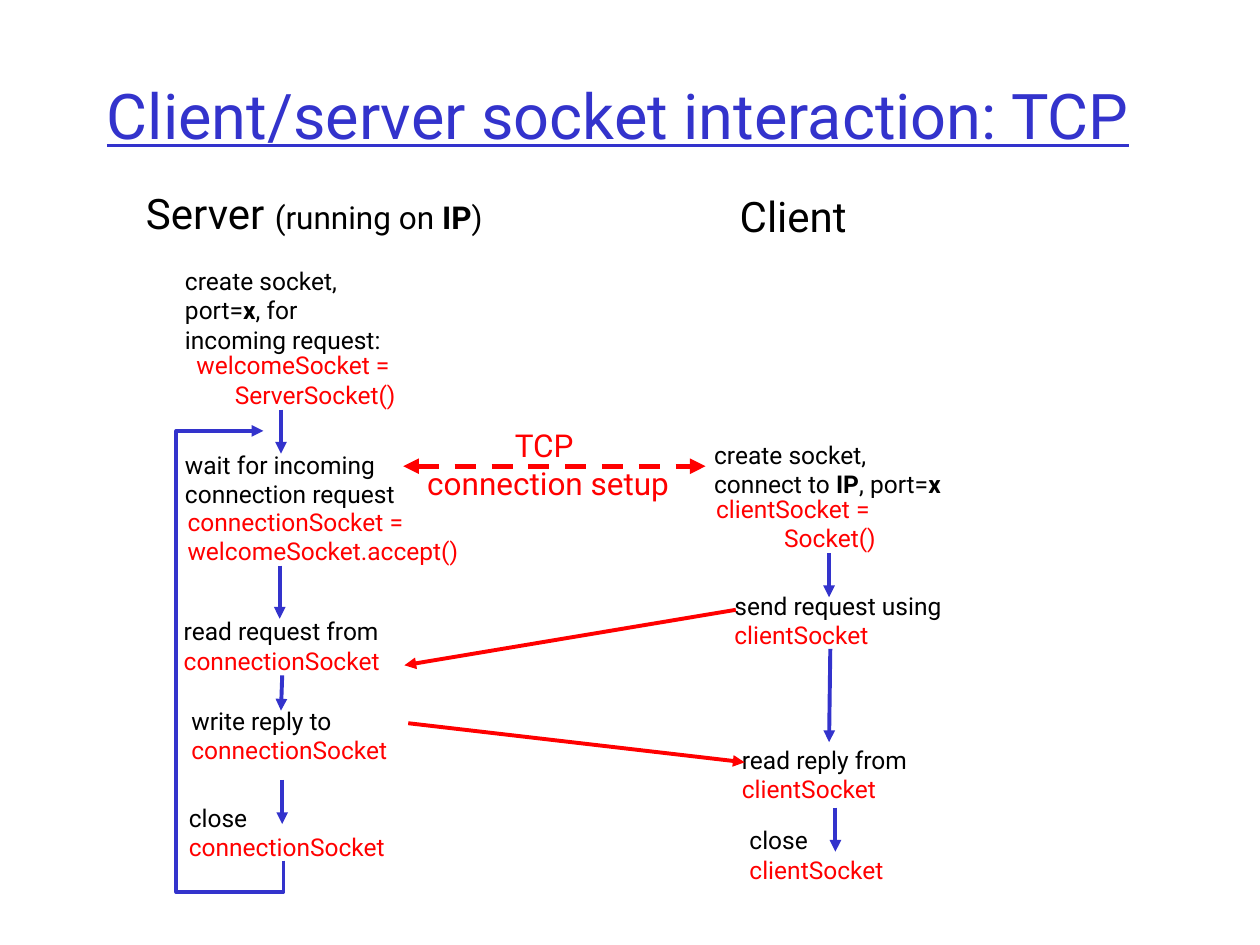
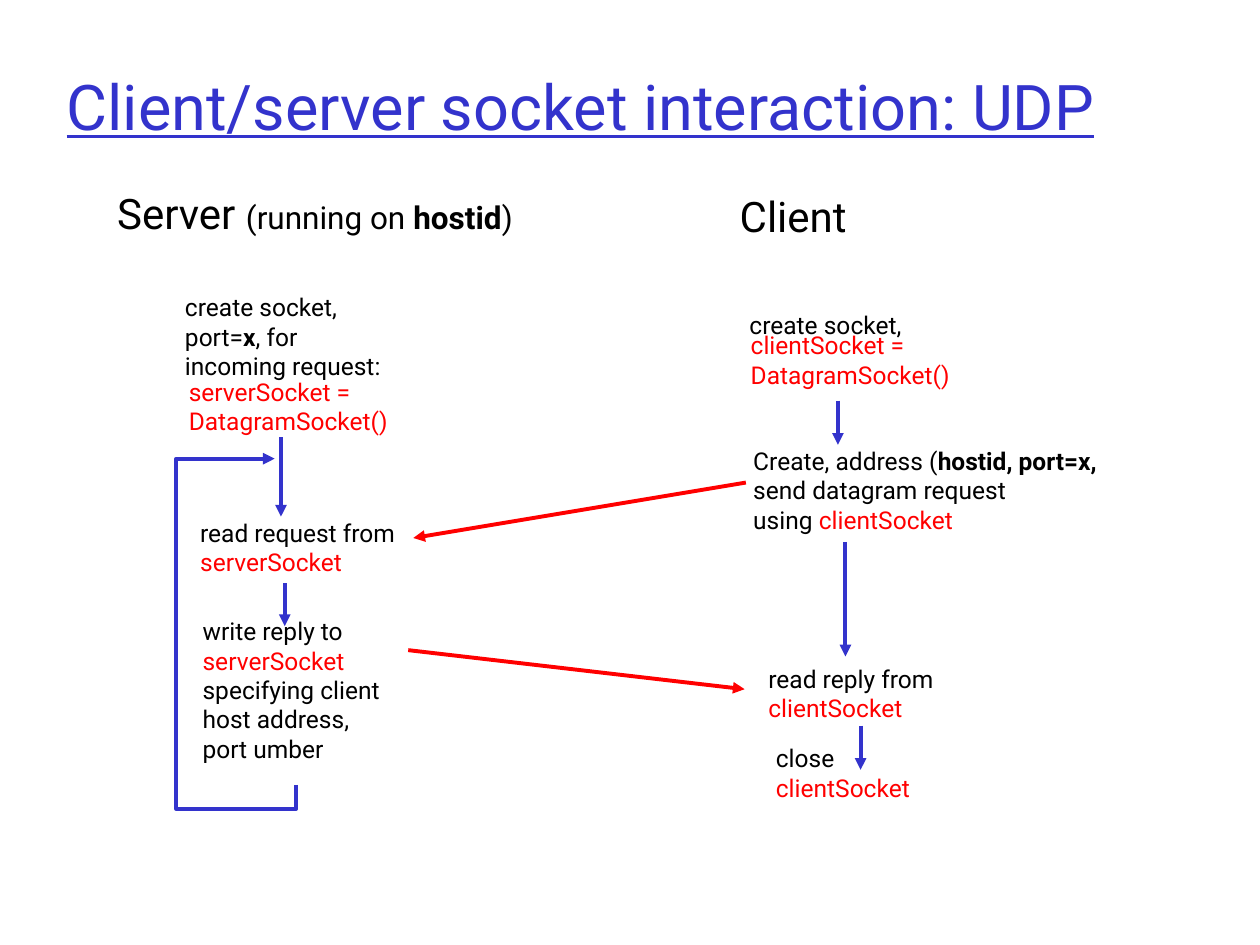
from lxml import etree
from pptx import Presentation
from pptx.dml.color import RGBColor
from pptx.enum import dml, shapes, text as text_enum
from pptx.oxml.ns import qn
from pptx.util import Inches, Pt

COLORS = {"blue": "3333CC", "red": "FF0000", "black": "000000"}
FONT = "Roboto"
LINE_HEIGHT = 0.2333
INSET = 0.1


def color(name):
    return RGBColor.from_string(COLORS[name])


def bold(content, **style):
    return content, {"bold": True, **style}


def red(content):
    return content, {"ink": "red"}


def add_run(paragraph, content, size=14, ink="black", bold=False, underline=False):
    run = paragraph.add_run()
    run.text = content
    font = run.font
    font.name = FONT
    font.size = Pt(size)
    font.bold = bold
    font.underline = underline
    font.color.rgb = color(ink)


def add_text(slide, lines, left, top, width, height, align="LEFT", wrap=False, **style):
    box = slide.shapes.add_textbox(Inches(left), Inches(top), Inches(width), Inches(height))
    frame = box.text_frame
    frame.word_wrap = wrap
    frame.vertical_anchor = text_enum.MSO_ANCHOR.MIDDLE
    if not wrap:
        frame.auto_size = text_enum.MSO_AUTO_SIZE.SHAPE_TO_FIT_TEXT
    for index, line in enumerate(lines):
        paragraph = frame.add_paragraph() if index else frame.paragraphs[0]
        paragraph.alignment = getattr(text_enum.PP_ALIGN, align)
        for run in [line] if isinstance(line, (str, tuple)) else line:
            content, changes = (run, {}) if isinstance(run, str) else run
            add_run(paragraph, content, **{**style, **changes})


def add_title(slide, protocol, left, top, width):
    add_text(slide, [f"Client/server socket interaction: {protocol}"], left, top, width, 1.25,
             wrap=True, size=36, ink="blue", underline=True)


def add_headings(slide, host, left, width):
    server = [("Server ", {"size": 24}), "(running on ", bold(host), ")"]
    add_text(slide, [server], left, 1.44, width, 0.5, align="CENTER", size=18)
    add_text(slide, ["Client"], 5.75, 1.46, 1.09, 0.5, align="CENTER", size=24)


def add_step(slide, lines, left, top, width, **style):
    height = len(lines) * LINE_HEIGHT + INSET
    add_text(slide, lines, left, top, width, height, **style)


def add_server_setup(slide, top):
    lines = ["create socket,", ["port=", bold("x"), ", for"], "incoming request:"]
    add_step(slide, lines, 1.37, top, 1.86)


def style_line(shape, ink, width=2.25, dashed=False, both_ends=False):
    shape.line.color.rgb = color(ink)
    shape.line.width = Pt(width)
    if dashed:
        shape.line.dash_style = dml.MSO_LINE.DASH
    properties = shape._element.spPr
    outline = properties.find(qn("a:ln"))
    for end in ["headEnd", "tailEnd"] if both_ends else ["tailEnd"]:
        etree.SubElement(outline, qn(f"a:{end}"), type="triangle")
    etree.SubElement(properties, qn("a:effectLst"))


def add_arrow(slide, start, end, ink="red", **style):
    points = [Inches(value) for value in (*start, *end)]
    arrow = slide.shapes.add_connector(shapes.MSO_CONNECTOR.STRAIGHT, *points)
    style_line(arrow, ink, **style)


def add_flow(slide, x, top, bottom, end_x=None):
    add_arrow(slide, (x, top), (end_x or x, bottom), ink="blue")


def add_loop(slide, right, start, bottom, top, tip):
    left = 1.4
    corners = [(right, bottom), (left, bottom), (left, top), (tip, top)]
    builder = slide.shapes.build_freeform(Inches(right), Inches(start))
    builder.add_line_segments([(Inches(x), Inches(y)) for x, y in corners], close=False)
    loop = builder.convert_to_shape()
    loop.fill.background()
    style_line(loop, "blue")


def build_tcp(slide):
    add_title(slide, "TCP", 0.75, 0.28, 8.5)
    add_headings(slide, "IP", 0.96, 3.07)

    add_server_setup(slide, 2.06)
    add_step(slide, ["welcomeSocket = ", "ServerSocket()"], 1.41, 2.73, 1.83,
             align="RIGHT", ink="red")
    add_step(slide, ["wait for incoming", "connection request"], 1.37, 3.52, 1.97)
    add_step(slide, ["connectionSocket =", "welcomeSocket.accept()"], 1.39, 3.97, 2.38, ink="red")
    for action, left, top, width in [("read request from", 1.36, 4.84, 1.87),
                                     ("write reply to", 1.42, 5.55, 1.82),
                                     ("close", 1.4, 6.32, 1.82)]:
        add_step(slide, [action, red("connectionSocket")], left, top, width)

    create = ["create socket,", ["connect to ", bold("IP"), ", port=", bold("x")]]
    add_step(slide, create, 5.57, 3.44, 2.13)
    add_step(slide, ["clientSocket = ", "Socket()"], 5.54, 3.87, 1.51, align="RIGHT", ink="red")
    for action, left, top, width in [("send request using", 5.73, 4.64, 1.95),
                                     ("read reply from", 5.79, 5.86, 1.63),
                                     ("close", 5.85, 6.5, 1.3)]:
        add_step(slide, [action, red("clientSocket")], left, top, width)

    for flow in [(2.23, 3.25, 3.6), (2.22, 4.49, 4.91), (2.24, 5.36, 5.64, 2.23),
                 (2.24, 6.19, 6.54), (6.58, 4.39, 4.74), (6.59, 5.15, 5.89, 6.58),
                 (6.63, 6.41, 6.76)]:
        add_flow(slide, *flow)
    add_loop(slide, right=2.25, start=6.83, bottom=7.08, top=3.42, tip=2.09)
    add_arrow(slide, (5.84, 4.84), (3.21, 5.28))
    add_arrow(slide, (3.24, 5.74), (5.91, 6.05))
    add_arrow(slide, (3.2, 3.7), (5.6, 3.7), width=3, dashed=True, both_ends=True)
    add_text(slide, ["TCP ", "connection setup"], 3.24, 3.33, 2.22, 0.7,
             align="CENTER", size=18, ink="red")


def build_udp(slide):
    add_title(slide, "UDP", 0.43, 0.21, 9.14)
    add_headings(slide, "hostid", 0.7, 3.6)

    add_server_setup(slide, 2.27)
    add_step(slide, ["serverSocket =", "DatagramSocket()"], 1.4, 2.94, 1.84, ink="red")
    add_step(slide, ["read request from", red("serverSocket")], 1.49, 4.06, 1.87)
    reply = ["write reply to", red("serverSocket"), "specifying client",
             "host address,", "port umber"]
    add_step(slide, reply, 1.51, 4.84, 1.67)

    add_step(slide, ["create socket,"], 5.85, 2.41, 1.46)
    add_step(slide, ["clientSocket =", "DatagramSocket()"], 5.86, 2.57, 1.84, ink="red")
    request = [["Create, address (", bold("hostid, port=x,")], "send datagram request",
               ["using ", red("clientSocket")]]
    add_step(slide, request, 5.88, 3.49, 3.16)
    add_step(slide, ["read reply from", red("clientSocket")], 6, 5.22, 1.63)
    add_step(slide, ["close", red("clientSocket")], 6.06, 5.85, 1.3)

    for flow in [(2.23, 3.47, 4.1), (2.26, 4.63, 4.97), (6.65, 3.18, 3.53),
                 (6.71, 4.3, 5.21), (6.83, 5.76, 6.11)]:
        add_flow(slide, *flow)
    add_loop(slide, right=2.35, start=6.23, bottom=6.42, top=3.64, tip=2.18)
    add_arrow(slide, (5.92, 3.83), (3.28, 4.27))
    add_arrow(slide, (3.24, 5.16), (5.91, 5.47))


def main():
    presentation = Presentation()
    presentation.slide_width = Inches(10)
    presentation.slide_height = Inches(7.5)
    for build in (build_tcp, build_udp):
        build(presentation.slides.add_slide(presentation.slide_layouts[6]))
    presentation.save("out.pptx")


if __name__ == "__main__":
    main()
